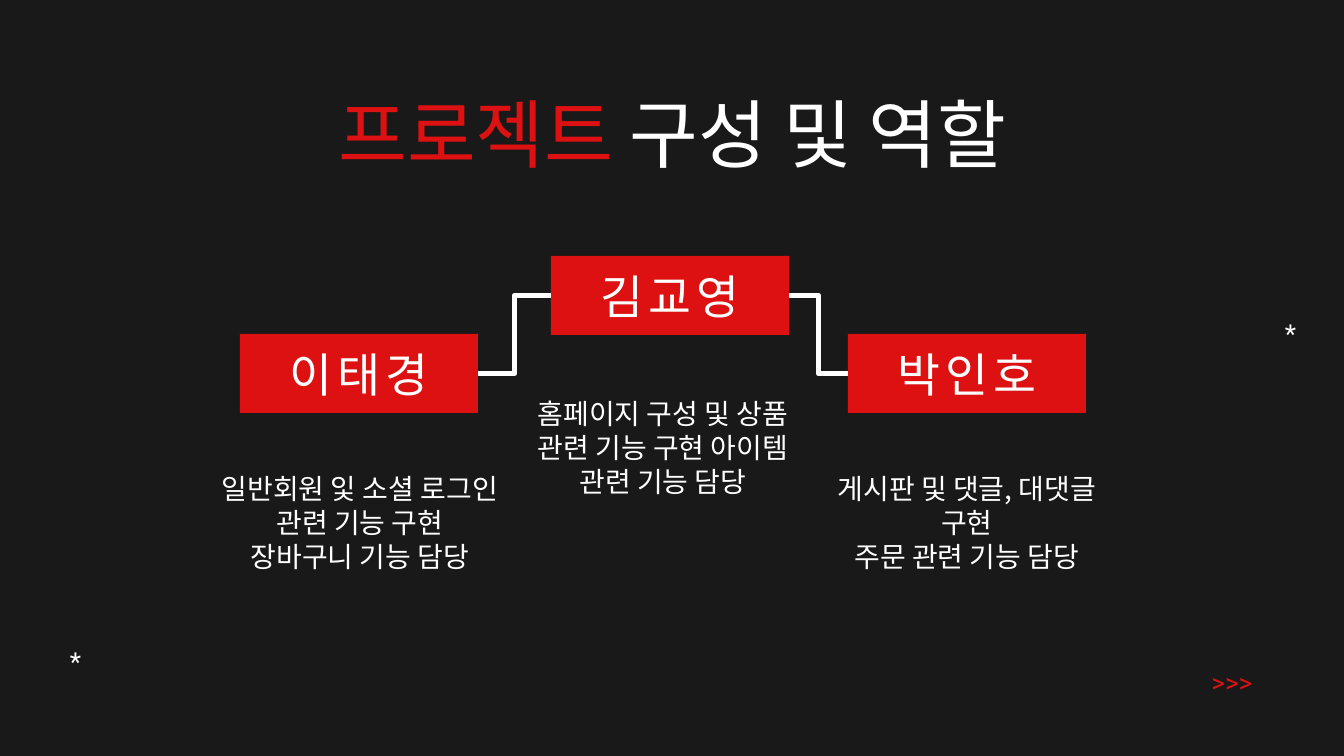
from lxml.etree import SubElement
from pptx import Presentation
from pptx.dml.color import RGBColor
from pptx.enum.shapes import MSO_CONNECTOR, MSO_SHAPE
from pptx.enum.text import MSO_ANCHOR, PP_ALIGN
from pptx.oxml.ns import qn
from pptx.util import Pt

# Content: texts, and places in px (left, top, width, height)
COLORS = {"back": "191919", "red": "DD1111", "white": "FFFFFF"}
KOREAN, LATIN = "Noto Sans CJK KR", "Roboto"

TITLE = [("프로젝트 ", "red"), ("구성 및 역할", "white")]
TITLE_AREA = (106, 75, 1133, 85)

CARD_SIZE = (238, 79)
ROLE_SIZE = (292, 146)
MEMBERS = [  # name, card corner, role corner, role paragraphs
    ("이태경", (240, 334), (214, 467),
     ["일반회원 잋 소셜 로그인 관련 기능 구현", "장바구니 기능 담당"]),
    ("김교영", (551, 256), (517, 392),
     ["홈페이지 구성 및 상품 관련 기능 구현 아이템 관련 기능 담당"]),
    ("박인호", (848, 334), (821, 467),
     ["게시판 및 댓글, 대댓글 구현", "주문 관련 기능 담당"]),
]
DECORATIONS = [
    (">>>", "red", (1142, 659, 180, 66)),
    ("*", "white", (30, 638, 91, 94)),
    ("*", "white", (1259, 310, 63, 66)),
]

STYLES = {  # size and line pitch in points, inset in px
    "title": {"size": 40, "font": KOREAN, "inset": 13, "pitch": 48},
    "name": {"size": 25, "font": KOREAN, "inset": 13, "spacing": 3},
    "role": {"size": 15, "font": KOREAN, "inset": 5, "pitch": 18},
    "mark": {"size": 14, "font": LATIN, "inset": 7},
}
RIGHT, LEFT = 3, 1


def px(value):
    return round(value * 914400 / 134.4)


def color(name):
    return RGBColor.from_string(COLORS[name])


def write(box, paragraphs, style, anchor=MSO_ANCHOR.TOP):
    """Fill a box with paragraphs, each a list of (text, colour)."""
    frame = box.text_frame
    frame.word_wrap = True
    frame.vertical_anchor = anchor
    for side in ("left", "right", "top", "bottom"):
        setattr(frame, f"margin_{side}", px(style["inset"]))
    for index, spans in enumerate(paragraphs):
        para = frame.add_paragraph() if index else frame.paragraphs[0]
        para.alignment = PP_ALIGN.CENTER
        if "pitch" in style:
            para.line_spacing = Pt(style["pitch"])
        for text, tone in spans:
            span = para.add_run()
            span.text = text
            formats = {"size": Pt(style["size"]), "name": style["font"]}
            for key, value in formats.items():
                setattr(span.font, key, value)
            span.font.color.rgb = color(tone)
            properties = span.font._element
            SubElement(properties, qn("a:ea")).set("typeface", style["font"])
            if "spacing" in style:
                properties.set("spc", str(style["spacing"] * 100))


def add_text(page, area, paragraphs, style):
    box = page.shapes.add_textbox(*map(px, area))
    write(box, paragraphs, style)


def add_card(page, name, corner):
    card = page.shapes.add_shape(MSO_SHAPE.RECTANGLE, *map(px, corner + CARD_SIZE))
    card.shadow.inherit = False
    card.fill.solid()
    card.fill.fore_color.rgb = color("red")
    card.line.fill.background()
    write(card, [[(name, "white")]], STYLES["name"], MSO_ANCHOR.MIDDLE)
    return card


def join(page, first, second):
    link = page.shapes.add_connector(MSO_CONNECTOR.ELBOW, 0, 0, 0, 0)
    link.begin_connect(first, RIGHT)
    link.end_connect(second, LEFT)
    link.line.color.rgb = color("white")
    link.line.width = Pt(3)
    SubElement(link._element.spPr, qn("a:effectLst"))


def main():
    deck = Presentation()
    deck.slide_width, deck.slide_height = px(1344), px(756)
    page = deck.slides.add_slide(deck.slide_layouts[6])
    page.background.fill.solid()
    page.background.fill.fore_color.rgb = color("back")

    # Corner marks and title
    for text, tone, area in DECORATIONS:
        add_text(page, area, [[(text, tone)]], STYLES["mark"])
    add_text(page, TITLE_AREA, [TITLE], STYLES["title"])

    # Name cards with their roles
    cards = []
    for name, card_corner, role_corner, roles in MEMBERS:
        paragraphs = [[(role, "white")] for role in roles]
        add_text(page, role_corner + ROLE_SIZE, paragraphs, STYLES["role"])
        cards.append(add_card(page, name, card_corner))

    # Links between neighbouring cards
    for first, second in zip(cards, cards[1:]):
        join(page, first, second)

    deck.save("out.pptx")


if __name__ == "__main__":
    main()
